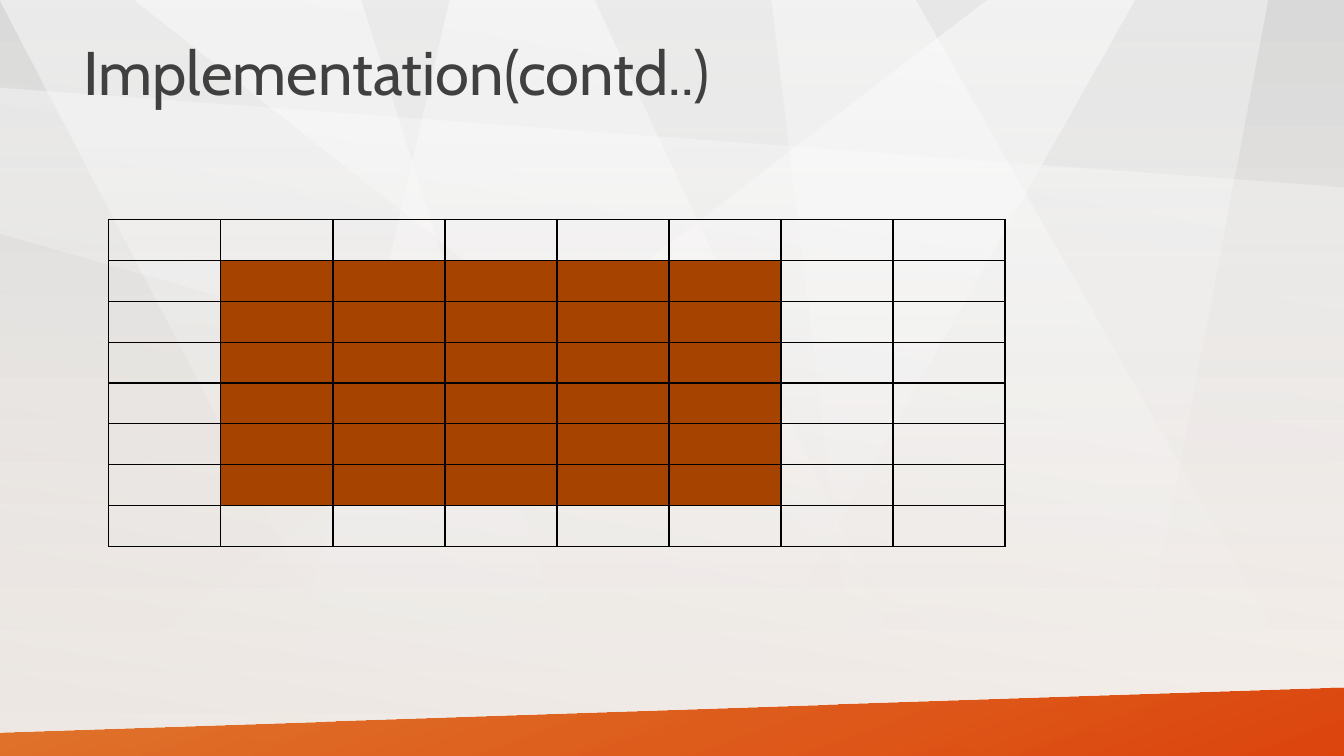
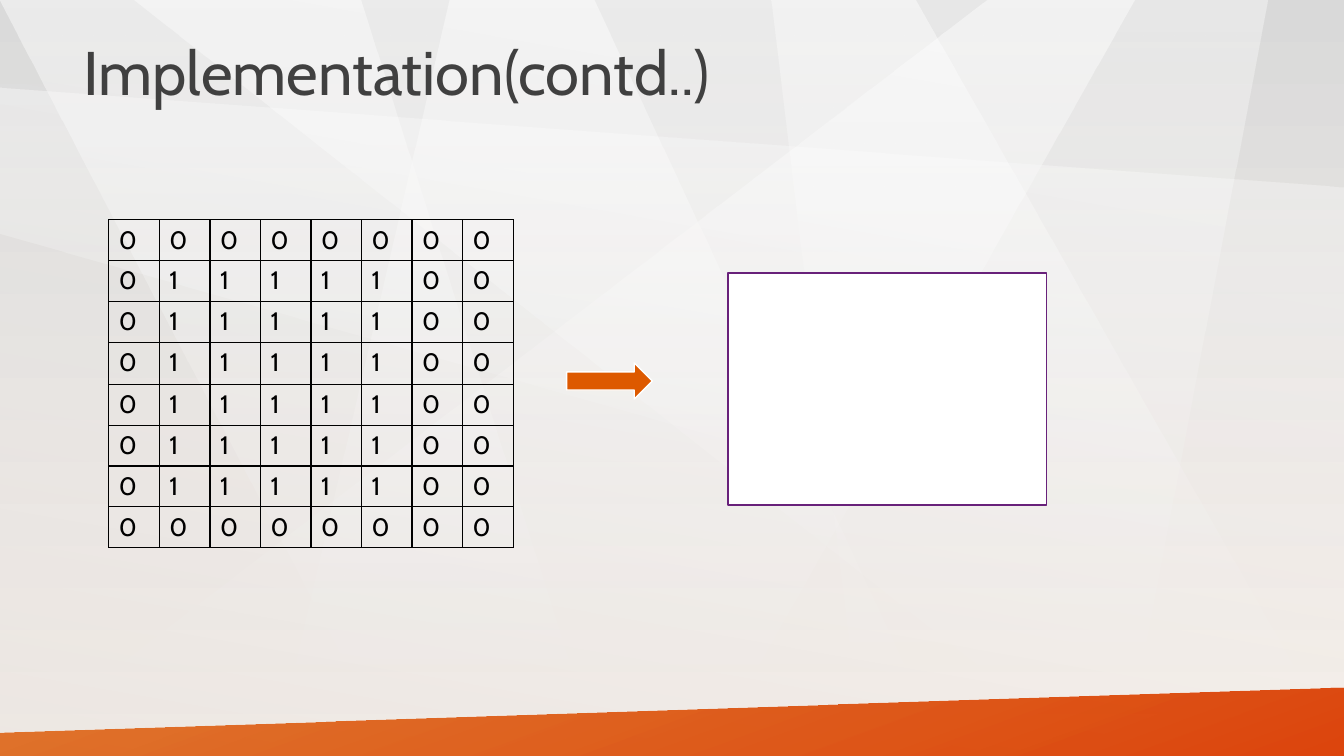
from dataclasses import dataclass
from itertools import product

from lxml.etree import SubElement
from pptx import Presentation
from pptx.dml.color import RGBColor
from pptx.enum.shapes import MSO_SHAPE as SHAPE
from pptx.enum.text import MSO_ANCHOR as ANCHOR
from pptx.oxml.ns import qn
from pptx.util import Inches, Pt

FONT = "Cabin"
BLACK = "000000"
WHITE = "FFFFFF"
TITLE_GREY = "404040"
ORANGE = "DD5900"
RUST = "A64300"
PURPLE = "68217A"
WIDTH, HEIGHT = 13.33, 7.5
GRID_SIZE = 8
OBJECT_ROWS = range(1, 7)
OBJECT_COLS = range(1, 6)


@dataclass(frozen=True)
class Gradient:
    start: str
    start_alpha: int
    end: str
    end_alpha: int
    angle: int = 90


@dataclass(frozen=True)
class Panel:
    points: tuple[tuple[float, float], ...]
    gradient: Gradient


@dataclass(frozen=True)
class Box:
    left: float
    top: float
    width: float
    height: float

    def emu(self) -> tuple[int, ...]:
        return tuple(Inches(v) for v in (self.left, self.top, self.width, self.height))


BACKDROP = Gradient("D9D9D9", 50, "FCF5EF", 100)
VEIL = Gradient("BFBFBF", 25, WHITE, 0, 280)
BEAM = Gradient(WHITE, 50, WHITE, 0)
SOFT_BEAM = Gradient(WHITE, 40, WHITE, 0)
BAND = Gradient(ORANGE, 80, "DC3C00", 95, 70)

BEAMS = (
    Panel(((9.79, 0), (0, HEIGHT), (7.01, HEIGHT), (11.25, 0)), BEAM),
    Panel(((0, 0), (3.58, 0), (5.94, HEIGHT), (3.91, HEIGHT)), BEAM),
    Panel(((1.32, 0), (9.07, 0), (WIDTH, HEIGHT), (10.83, HEIGHT)), BEAM),
    Panel(((7.65, 0), (8.56, HEIGHT), (11.15, HEIGHT), (12.57, 0)), SOFT_BEAM),
    Panel(((5.89, 0), (4.46, 0), (2.72, HEIGHT), (9.39, HEIGHT)), BEAM),
    Panel(((0, 0.87), (WIDTH, 1.86), (WIDTH, 6.1), (0, 2.32)), SOFT_BEAM),
)
FOOTER = Panel(((0, 7.27), (WIDTH, 6.82), (WIDTH, HEIGHT), (0, HEIGHT)), BAND)


def color(value: str) -> RGBColor:
    return RGBColor.from_string(value)


def fill_gradient(fill, element, gradient: Gradient) -> None:
    fill.gradient()
    fill.gradient_angle = 360 - gradient.angle
    fill.gradient_stops[0].color.rgb = color(gradient.start)
    fill.gradient_stops[1].color.rgb = color(gradient.end)
    alphas = (gradient.start_alpha, gradient.end_alpha)
    for stop, alpha in zip(element.iter(qn("a:gs")), alphas):
        SubElement(stop[0], qn("a:alpha")).set("val", str(alpha * 1000))


def finish_panel(sp, gradient: Gradient) -> None:
    sp.shadow.inherit = False
    sp.line.fill.background()
    fill_gradient(sp.fill, sp.element, gradient)


def add_panel(slide, panel: Panel) -> None:
    start, *rest = [(Inches(x), Inches(y)) for x, y in panel.points]
    builder = slide.shapes.build_freeform(*start)
    builder.add_line_segments(rest, close=True)
    finish_panel(builder.convert_to_shape(), panel.gradient)


def add_solid(slide, kind: SHAPE, box: Box, fill: str, line: str) -> None:
    sp = slide.shapes.add_shape(kind, *box.emu())
    sp.shadow.inherit = False
    sp.fill.solid()
    sp.fill.fore_color.rgb = color(fill)
    sp.line.color.rgb = color(line)
    sp.line.width = Pt(1)


def write(tf, text: str, size: int, text_color: str):
    p = tf.paragraphs[0]
    p.text = text
    r = p.runs[0]
    r.font.name = FONT
    r.font.size = Pt(size)
    r.font.color.rgb = color(text_color)
    return p


def add_title(slide, text: str) -> None:
    tf = slide.shapes.add_textbox(*Box(0.73, 0.1, 11.5, 1.29).emu()).text_frame
    tf.word_wrap = True
    tf.vertical_anchor = ANCHOR.MIDDLE
    write(tf, text, 44, TITLE_GREY).line_spacing = 0.9


def add_themed_slide(prs, title: str):
    slide = prs.slides.add_slide(prs.slide_layouts[6])
    fill_gradient(slide.background.fill, slide.element, BACKDROP)
    for beam in BEAMS:
        add_panel(slide, beam)
    veil = slide.shapes.add_shape(SHAPE.RECTANGLE, *Box(0, 0, WIDTH, HEIGHT).emu())
    finish_panel(veil, VEIL)
    add_panel(slide, FOOTER)
    add_title(slide, title)
    return slide


def add_borders(cell) -> None:
    tc_pr = cell._tc.get_or_add_tcPr()
    for side in ("lnL", "lnR", "lnT", "lnB"):
        ln = SubElement(tc_pr, qn(f"a:{side}"), w=str(Pt(1)))
        solid = SubElement(ln, qn("a:solidFill"))
        SubElement(solid, qn("a:srgbClr"), val=BLACK)


def in_object(row: int, col: int) -> bool:
    return row in OBJECT_ROWS and col in OBJECT_COLS


def add_grid(slide, box: Box):
    table = slide.shapes.add_table(GRID_SIZE, GRID_SIZE, *box.emu()).table
    table.first_row = False
    table.horz_banding = False
    for row, col in product(range(GRID_SIZE), repeat=2):
        cell = table.cell(row, col)
        add_borders(cell)
        cell.fill.background()
    return table


def add_pixel_slide(prs) -> None:
    slide = add_themed_slide(prs, "Implementation(contd..)")
    table = add_grid(slide, Box(1.08, 2.18, 8.89, 3.24))
    for row, col in product(OBJECT_ROWS, OBJECT_COLS):
        fill = table.cell(row, col).fill
        fill.solid()
        fill.fore_color.rgb = color(RUST)


def add_matrix_slide(prs) -> None:
    slide = add_themed_slide(prs, "Implementation(contd..)")
    table = add_grid(slide, Box(1.08, 2.18, 4.01, 3.24))
    table.rows[3].height = Inches(0.42)
    for row, col in product(range(GRID_SIZE), repeat=2):
        digit = "1" if in_object(row, col) else "0"
        write(table.cell(row, col).text_frame, digit, 18, BLACK)
    add_solid(slide, SHAPE.RECTANGLE, Box(7.22, 2.71, 3.16, 2.3), WHITE, PURPLE)
    add_solid(slide, SHAPE.RIGHT_ARROW, Box(5.62, 3.6, 0.85, 0.36), ORANGE, WHITE)


def main() -> None:
    prs = Presentation()
    prs.slide_width = Inches(WIDTH)
    prs.slide_height = Inches(HEIGHT)
    add_pixel_slide(prs)
    add_matrix_slide(prs)
    prs.save("out.pptx")


if __name__ == "__main__":
    main()
